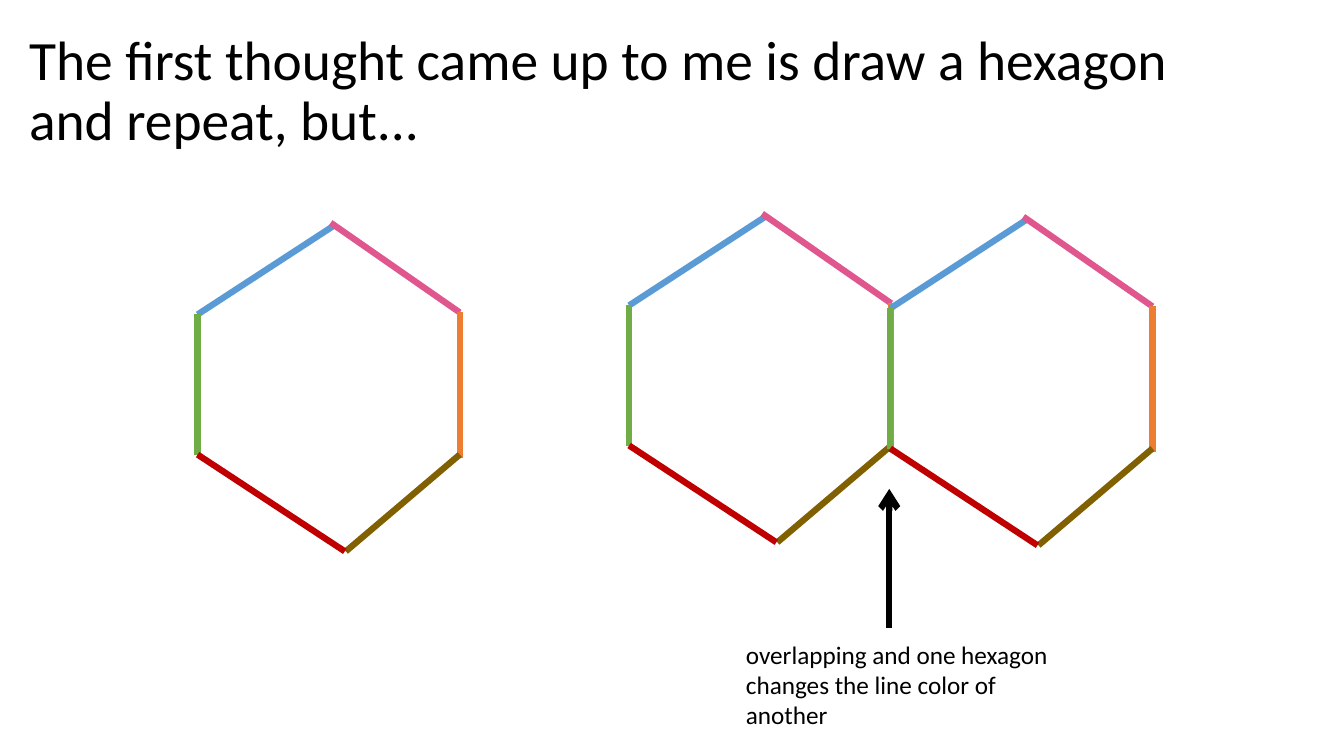
from dataclasses import dataclass
from typing import Any

from lxml.etree import SubElement
from pptx import Presentation
from pptx.dml.color import RGBColor
from pptx.enum.shapes import MSO_CONNECTOR
from pptx.enum.text import MSO_ANCHOR
from pptx.oxml.ns import qn
from pptx.util import Inches, Pt


@dataclass(frozen=True)
class Theme:
    font: str = "Calibri"
    ink: str = "000000"
    blue: str = "5B9BD5"
    green: str = "70AD47"
    pink: str = "E0568E"
    orange: str = "ED7D31"
    brown: str = "806000"
    red: str = "C00000"
    title: float = 39.6
    note: float = 18
    stroke: float = 4.5


@dataclass(frozen=True)
class Side:
    x1: float
    y1: float
    x2: float
    y2: float
    color: str


@dataclass(frozen=True)
class Label:
    text: str
    left: float
    top: float
    width: float
    height: float
    size: float
    anchor: MSO_ANCHOR = MSO_ANCHOR.TOP
    leading: float = 1.0


THEME = Theme()

# Sides are measured from the hexagon's left edge and top tip.
HEXAGON = (
    Side(1.35, 0.03, 0, 0.91, THEME.blue),
    Side(0, 2.3, 0, 0.91, THEME.green),
    Side(1.32, 0, 2.6, 0.89, THEME.pink),
    Side(2.6, 0.89, 2.6, 2.33, THEME.orange),
    Side(2.6, 2.3, 1.47, 3.26, THEME.brown),
    Side(1.46, 3.26, 0, 2.3, THEME.red),
)
SINGLE = ((1.96, 2.21),)
PAIR = ((6.24, 2.12), (8.83, 2.15))
POINTER = Side(8.82, 6.23, 8.82, 4.85, THEME.ink)
LABELS = (
    Label("The first thought came up to me is draw a hexagon and repeat, but...",
          0.19, 0.19, 11.5, 1.45, THEME.title, MSO_ANCHOR.MIDDLE, 0.9),
    Label("overlapping and one hexagon changes the line color of another",
          7.3, 6.29, 3.47, 1.01, THEME.note),
)


def draw_side(shapes: Any, side: Side, left: float = 0, top: float = 0,
              arrow: bool = False) -> None:
    line = shapes.add_connector(
        MSO_CONNECTOR.STRAIGHT,
        Inches(left + side.x1), Inches(top + side.y1),
        Inches(left + side.x2), Inches(top + side.y2))
    line.line.color.rgb = RGBColor.from_string(side.color)
    line.line.width = Pt(THEME.stroke)
    if arrow:
        SubElement(line.line._get_or_add_ln(), qn("a:tailEnd"), type="arrow")
    SubElement(line._element.spPr, qn("a:effectLst"))


def draw_cells(shapes: Any, origins: tuple[tuple[float, float], ...]) -> None:
    """Draw hexagons in one group; later ones cover shared sides."""
    group = shapes.add_group_shape()
    for left, top in origins:
        for side in HEXAGON:
            draw_side(group.shapes, side, left, top)


def draw_label(shapes: Any, label: Label) -> None:
    box = shapes.add_textbox(Inches(label.left), Inches(label.top),
                             Inches(label.width), Inches(label.height))
    frame = box.text_frame
    frame.word_wrap = True
    frame.vertical_anchor = label.anchor
    para = frame.paragraphs[0]
    para.line_spacing = label.leading
    run = para.add_run()
    run.text = label.text
    run.font.name = THEME.font
    run.font.size = Pt(label.size)
    run.font.color.rgb = RGBColor.from_string(THEME.ink)


def main() -> None:
    deck = Presentation()
    deck.slide_width, deck.slide_height = Inches(13.33), Inches(7.5)
    shapes = deck.slides.add_slide(deck.slide_layouts[6]).shapes
    for origins in (SINGLE, PAIR):
        draw_cells(shapes, origins)
    draw_side(shapes, POINTER, arrow=True)
    for label in LABELS:
        draw_label(shapes, label)
    deck.save("out.pptx")


if __name__ == "__main__":
    main()
